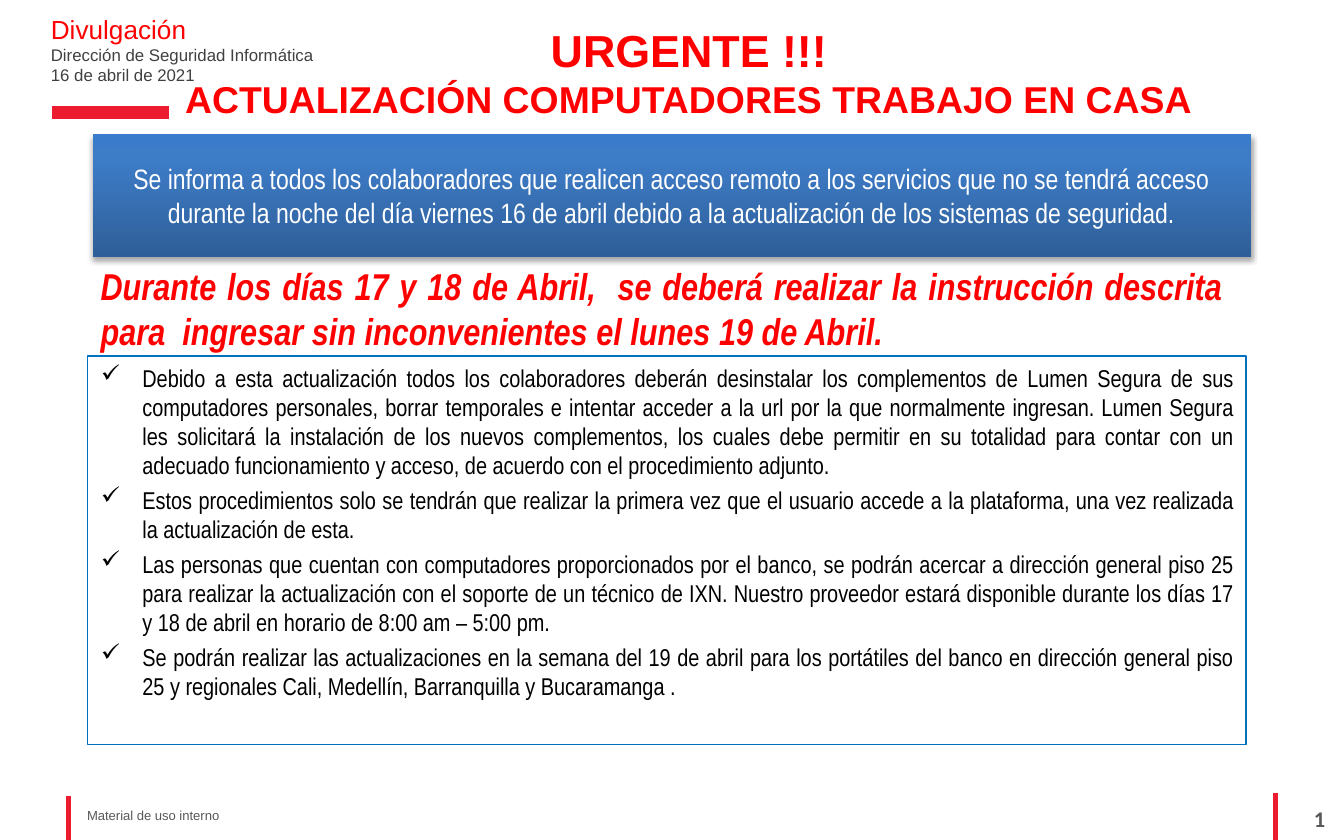
from lxml.etree import SubElement
from pptx import Presentation
from pptx.dml.color import RGBColor
from pptx.enum.shapes import MSO_CONNECTOR, MSO_SHAPE
from pptx.enum.text import MSO_ANCHOR, MSO_AUTO_SIZE, PP_ALIGN
from pptx.oxml.ns import qn
from pptx.util import Inches, Pt

COLUMNS, ROWS = 100, 62.5
WIDTH, HEIGHT = Inches(10), Inches(6.25)
RED, BAR_RED, GREY = "FF0000", "ED1B2F", "595959"
NARROW = "Arial Narrow"

STEPS = [
    "Debido a esta actualización todos los colaboradores deberán desinstalar los "
    "complementos de Lumen Segura de sus computadores personales, borrar temporales e "
    "intentar acceder a la url por la que normalmente ingresan. Lumen Segura les "
    "solicitará la instalación de los nuevos complementos, los cuales debe permitir en "
    "su totalidad para contar con un adecuado funcionamiento y acceso, de acuerdo con "
    "el procedimiento adjunto.",
    "Estos procedimientos solo se tendrán que realizar la primera vez que el usuario "
    "accede a la plataforma, una vez realizada la actualización de esta.",
    "Las personas que cuentan con computadores proporcionados por el banco, se podrán "
    "acercar a dirección general piso 25 para realizar la actualización con el soporte "
    "de un técnico de IXN. Nuestro proveedor estará disponible durante los días 17 y 18 "
    "de abril en horario de 8:00 am – 5:00 pm.",
    "Se podrán realizar las actualizaciones en la semana del 19 de abril para los "
    "portátiles del banco en dirección general piso 25 y regionales Cali, Medellín, "
    "Barranquilla y Bucaramanga .",
]
NOTICE = (
    "Se informa a todos los colaboradores que realicen acceso remoto a los servicios "
    "que no se tendrá acceso durante la noche del día viernes 16 de abril debido a la "
    "actualización de los sistemas de seguridad."
)
INSTRUCTION = (
    "Durante los días 17 y 18 de Abril,  se deberá realizar la instrucción descrita  \v"
    "para  ingresar sin inconvenientes el lunes 19 de Abril."
)


def color(value):
    """Turn a hex string into a colour."""
    return RGBColor.from_string(value)


def grid(column, row):
    """Convert a grid position or extent to slide lengths."""
    return int(WIDTH * column / COLUMNS), int(HEIGHT * row / ROWS)


def place(element, column, row, columns, rows):
    """Move and size an element on the grid."""
    element.left, element.top = grid(column, row)
    element.width, element.height = grid(columns, rows)


def write(element, lines, sizes, hue, font="Arial", align=PP_ALIGN.LEFT,
          anchor=MSO_ANCHOR.TOP, bold=False, italic=False):
    """Fill an element with formatted paragraphs and return them."""
    frame = element.text_frame
    frame.text = "\n".join(lines)
    frame.word_wrap = True
    frame.auto_size = MSO_AUTO_SIZE.NONE
    frame.vertical_anchor = anchor
    for paragraph, size in zip(frame.paragraphs, sizes):
        paragraph.alignment = align
        paragraph.space_before = Pt(0)
        for run in paragraph.runs:
            run.font.name, run.font.size = font, Pt(size)
            run.font.bold, run.font.italic = bold, italic
            run.font.color.rgb = color(hue)
    return frame.paragraphs


def add_label(slide, box, lines, sizes, hue, **style):
    """Add a text box on the grid."""
    label = slide.shapes.add_textbox(0, 0, 0, 0)
    place(label, *box)
    return write(label, lines, sizes, hue, **style)


def add_rule(slide, start, end, weight):
    """Add a straight red rule without shadow."""
    rule = slide.shapes.add_connector(MSO_CONNECTOR.STRAIGHT, *grid(*start), *grid(*end))
    rule.line.color.rgb = color(BAR_RED)
    rule.line.width = Pt(weight)
    SubElement(rule._element.spPr, qn("a:effectLst"))


def add_tint(parent, hue):
    """Append a colour node and return it."""
    return SubElement(parent, qn("a:srgbClr"), val=hue)


def add_banner(slide, box, text):
    """Add the shaded notice banner."""
    banner = slide.shapes.add_shape(MSO_SHAPE.RECTANGLE, 0, 0, 0, 0)
    place(banner, *box)
    banner.line.fill.background()
    banner.fill.gradient()
    banner.fill.gradient_angle = 90
    stops = banner._element.spPr.find(".//" + qn("a:gsLst"))
    for stop in list(stops):
        stops.remove(stop)
    for share, hue in ((0, "2F5F99"), (80, "3D7CC7"), (100, "3A7CCB")):
        add_tint(SubElement(stops, qn("a:gs"), pos=str(share * 1000)), hue)
    banner.shadow.inherit = False
    effects = banner._element.spPr.find(qn("a:effectLst"))
    shade = SubElement(effects, qn("a:outerShdw"), blurRad=str(Pt(3.1)),
                       dist=str(Pt(1.8)), dir="5400000", rotWithShape="0")
    SubElement(add_tint(shade, "000000"), qn("a:alpha"), val="35000")
    write(banner, [text], [15], "FFFFFF", font=NARROW, align=PP_ALIGN.CENTER,
          anchor=MSO_ANCHOR.MIDDLE)


def fill_checklist(body, box, steps):
    """Turn the body placeholder into the framed checklist."""
    place(body, *box)
    body.line.color.rgb = color("0070C0")
    body.line.width = Pt(0.75)
    paragraphs = write(body, steps, [13] * len(steps), "000000", font=NARROW,
                       align=PP_ALIGN.JUSTIFY)
    indent = Inches(0.31)
    for paragraph in paragraphs:
        paragraph.space_after = Pt(3)
        properties = paragraph._p.get_or_add_pPr()
        properties.set("marL", str(indent))
        properties.set("indent", str(-indent))
        SubElement(properties, qn("a:buFont"), typeface="Wingdings")
        SubElement(properties, qn("a:buChar"), char="\u00fc")


def add_header(slide):
    """Add the sender block."""
    lines = ["Divulgación", "Dirección de Seguridad Informática", "16 de abril de 2021"]
    paragraphs = add_label(slide, (2.8, 1.6, 29.9, 6.3), lines, [14, 9, 9], "404040")
    paragraphs[0].runs[0].font.color.rgb = color(RED)
    for paragraph in paragraphs:
        paragraph.line_spacing = Pt(9)
        paragraph.space_before = Pt(1.8)
    paragraphs[0].space_before = Pt(2.8)


def main():
    """Build and save the slide."""
    deck = Presentation()
    deck.slide_width, deck.slide_height = WIDTH, HEIGHT
    slide = deck.slides.add_slide(deck.slide_layouts[1])
    title, body = slide.placeholders

    add_label(slide, (5.5, 5.96 * 10, 15, 2.2), ["Material de uso interno"], [7], GREY)
    add_rule(slide, (5.1, 59.2), (5.1, ROWS), 2.25)
    add_rule(slide, (94.9, 59), (94.9, ROWS), 2.25)
    add_rule(slide, (3.9, 8.4), (12.6, 8.4), 7)
    add_label(slide, (94.1, 59.4, 5.5, 3), ["1"], [12], GREY, font="Calibri",
              align=PP_ALIGN.RIGHT, bold=True)
    add_header(slide)

    place(title, 9.8, 0.8, 82.9, 9.1)
    write(title, ["URGENTE !!!", "ACTUALIZACIÓN COMPUTADORES TRABAJO EN CASA"], [24, 20],
          RED, align=PP_ALIGN.CENTER, anchor=MSO_ANCHOR.MIDDLE, bold=True)
    fill_checklist(body, (6.5, 26.5, 86.2, 28.9), STEPS)
    add_banner(slide, (6.9, 10, 86.2, 9.1), NOTICE)
    add_label(slide, (6.5, 19.1, 87.1, 7.7), [INSTRUCTION], [20], RED, font=NARROW,
              align=PP_ALIGN.JUSTIFY, bold=True, italic=True)
    deck.save("out.pptx")


main()
